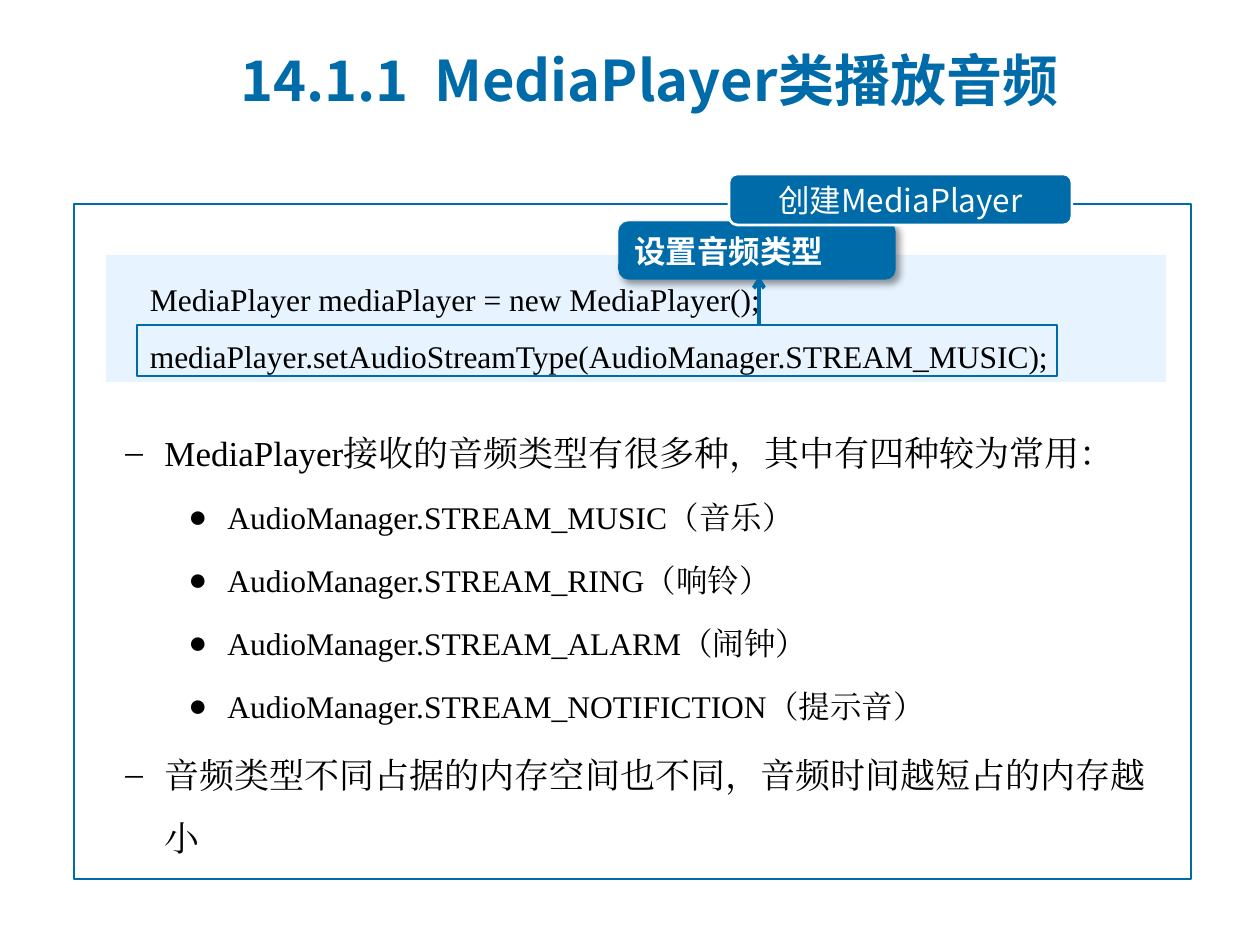
from lxml import etree
from pptx import Presentation
from pptx.dml.color import RGBColor
from pptx.enum.shapes import MSO_CONNECTOR, MSO_SHAPE
from pptx.enum.text import MSO_ANCHOR, PP_ALIGN
from pptx.oxml import parse_xml
from pptx.oxml.ns import nsdecls, qn
from pptx.util import Pt

PX = 914400 / 126
RECT, ROUND = MSO_SHAPE.RECTANGLE, MSO_SHAPE.ROUNDED_RECTANGLE
STRAIGHT = MSO_CONNECTOR.STRAIGHT
TOP, MIDDLE = MSO_ANCHOR.TOP, MSO_ANCHOR.MIDDLE
LEFT, CENTER = PP_ALIGN.LEFT, PP_ALIGN.CENTER
BLUE, PALE, WHITE, BLACK = "006BA9", "E7F4FF", "FFFFFF", "000000"
SERIF, SANS, CJK = "Times New Roman", "Calibri", "Noto Sans CJK SC"

CODE = [
    "    MediaPlayer mediaPlayer = new MediaPlayer();",
    "    mediaPlayer.setAudioStreamType(AudioManager.STREAM_MUSIC);",
]
POINTS = [
    (1, "MediaPlayer接收的音频类型有很多种，其中有四种较为常用："),
    (2, "AudioManager.STREAM_MUSIC（音乐）"),
    (2, "AudioManager.STREAM_RING（响铃）"),
    (2, "AudioManager.STREAM_ALARM（闹钟）"),
    (2, "AudioManager.STREAM_NOTIFICTION（提示音）"),
    (1, "音频类型不同占据的内存空间也不同，音频时间越短占的内存越小"),
]
LEVELS = {1: ("–", 102, 20), 2: ("●", 165, 18)}
HANGING = 39


def px(n):
    return round(n * PX)


def color(hex_string):
    return RGBColor.from_string(hex_string)


def style(p, size, font, hex_color, bold=False):
    for r in p.runs:
        r.font.size = Pt(size)
        r.font.name = font
        r.font.bold = bold
        r.font.color.rgb = color(hex_color)
        ea = etree.SubElement(r.font._element, qn("a:ea"))
        ea.set("typeface", CJK if font == SANS else font)


def add_box(s, kind, box, fill=None, line=None, width=1.5):
    sp = s.shapes.add_shape(kind, *map(px, box))
    sp.shadow.inherit = False
    if fill:
        sp.fill.solid()
        sp.fill.fore_color.rgb = color(fill)
    else:
        sp.fill.background()
    if line:
        sp.line.color.rgb = color(line)
        sp.line.width = Pt(width)
    else:
        sp.line.fill.background()
    return sp


def set_line(sp, text, size, font, hex_color, bold=False, align=LEFT):
    tf = sp.text_frame
    tf.word_wrap = True
    tf.vertical_anchor = MIDDLE
    tf.text = text
    p = tf.paragraphs[0]
    p.alignment = align
    style(p, size, font, hex_color, bold)


def add_title(s, box):
    sp = s.shapes.add_textbox(*map(px, box))
    set_line(sp, "14.1.1  MediaPlayer类播放音频", 32, CJK, BLUE, True)


def add_code(s, box):
    x, y, w, h = box
    sp = add_box(s, RECT, box, PALE)
    tf = sp.text_frame
    tf.word_wrap = True
    tf.vertical_anchor = TOP
    tf.text = "\n".join(CODE)
    for p in tf.paragraphs:
        p.alignment = LEFT
        p.line_spacing = 1.5
        style(p, 18, SERIF, BLACK)
    add_box(s, RECT, (x + 31, y + 70, 920, 51), line=BLUE)


def add_callout(s, box):
    x, y, w, h = box
    sp = add_box(s, ROUND, box, BLUE, BLUE, 0.75)
    effects = sp._element.spPr.find(qn("a:effectLst"))
    effects.append(parse_xml(
        f'<a:outerShdw {nsdecls("a")} blurRad="50800" dist="38100" dir="2700000" '
        'algn="tl" rotWithShape="0"><a:srgbClr val="000000">'
        '<a:alpha val="40000"/></a:srgbClr></a:outerShdw>'))
    set_line(sp, "设置音频类型", 18, SANS, WHITE, True)
    mid = x + 140
    arrow = s.shapes.add_connector(
        STRAIGHT, px(mid), px(y + 102), px(mid), px(y + 54))
    arrow.line.color.rgb = color(BLUE)
    arrow.line.width = Pt(2.25)
    etree.SubElement(arrow.line._get_or_add_ln(), qn("a:tailEnd")).set("type", "arrow")
    etree.SubElement(arrow._element.spPr, qn("a:effectLst"))


def add_points(s, box):
    tf = s.shapes.add_textbox(*map(px, box)).text_frame
    tf.word_wrap = True
    tf.text = "\n".join(text for _, text in POINTS)
    for i, (p, (level, _)) in enumerate(zip(tf.paragraphs, POINTS)):
        bullet, indent, size = LEVELS[level]
        p.level = level
        p.line_spacing = 1.5
        if i:
            p.space_before = Pt(size * 0.2)
        pPr = p._p.get_or_add_pPr()
        pPr.set("marL", str(px(indent)))
        pPr.set("indent", str(-px(HANGING)))
        etree.SubElement(pPr, qn("a:buFont")).set("typeface", SERIF)
        etree.SubElement(pPr, qn("a:buChar")).set("char", bullet)
        style(p, size, SERIF, BLACK)


def add_frame(s, box):
    x, y, w, h = box
    add_box(s, RECT, box, line=BLUE)
    sp = add_box(s, ROUND, (x + 655, y - 30, 343, 51), BLUE, WHITE)
    set_line(sp, "创建MediaPlayer", 18, CJK, WHITE, align=CENTER)


def main():
    prs = Presentation()
    prs.slide_width, prs.slide_height = px(1260), px(945)
    s = prs.slides.add_slide(prs.slide_layouts[6])
    add_code(s, (106, 255, 1060, 127))
    add_callout(s, (619, 222, 276, 57))
    add_points(s, (50, 404, 1125, 88))
    add_frame(s, (74, 204, 1117, 675))
    add_title(s, (228, 26, 908, 106))
    prs.save("out.pptx")


if __name__ == "__main__":
    main()
